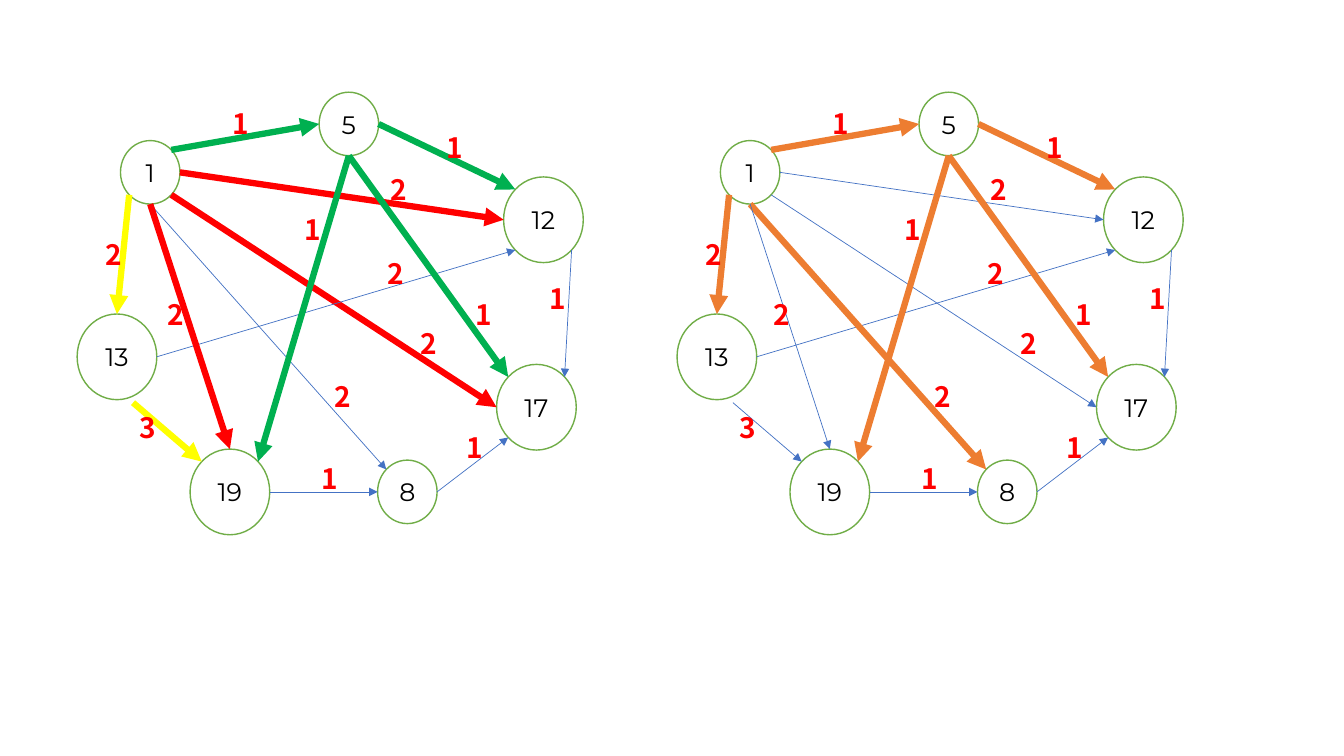
from math import cos, radians, sin

from pptx import Presentation
from pptx.dml.color import RGBColor
from pptx.enum.shapes import MSO_CONNECTOR, MSO_SHAPE
from pptx.enum.text import MSO_ANCHOR, MSO_AUTO_SIZE, PP_ALIGN
from pptx.oxml.ns import qn
from pptx.util import Inches, Pt
from lxml import etree

OVAL = MSO_SHAPE.OVAL
LINE = MSO_CONNECTOR.STRAIGHT
CENTER = PP_ALIGN.CENTER
MIDDLE = MSO_ANCHOR.MIDDLE
GROW = MSO_AUTO_SIZE.SHAPE_TO_FIT_TEXT

COLORS = {
    "white": "FFFFFF", "black": "000000", "ring": "70AD47", "thin": "4472C4",
    "red": "FF0000", "green": "00B050", "yellow": "FFFF00", "orange": "ED7D31",
}
SMALL, LARGE = (0.59, 0.63), (0.79, 0.85)
LABEL = (0.61, 0.44)
SHIFT = 5.95  # from the left graph to the right one

# node: centre and size
NODES = {
    "1": (1.49, 1.71, SMALL), "5": (3.46, 1.23, SMALL),
    "12": (5.39, 2.18, LARGE), "17": (5.32, 4.04, LARGE),
    "8": (4.04, 4.88, SMALL), "19": (2.28, 4.88, LARGE),
    "13": (1.16, 3.54, LARGE),
}
ANGLES = {"E": 0, "SE": 45, "S": 90, "SW": 135,
          "W": 180, "NW": 225, "N": 270, "NE": 315}

# start, its side, end, its side, left colour, right colour,
# weight, label centre
EDGES = [
    ("1", "SW", "13", "N", "yellow", "orange", "2", 1.13, 2.53),
    ("13", "S", "19", "NW", "yellow", "thin", "3", 1.47, 4.24),
    ("19", "E", "8", "W", "thin", "thin", "1", 3.27, 4.75),
    ("8", "E", "17", "SW", "thin", "thin", "1", 4.71, 4.44),
    ("12", "SE", "17", "NE", "thin", "thin", "1", 5.53, 2.96),
    ("5", "E", "12", "NW", "green", "orange", "1", 4.51, 1.47),
    ("1", "NE", "5", "W", "green", "orange", "1", 2.39, 1.23),
    ("1", "E", "12", "W", "red", "thin", "2", 3.96, 1.88),
    ("1", "SE", "17", "W", "red", "thin", "2", 4.25, 3.41),
    ("13", "E", "12", "SW", "thin", "thin", "2", 3.93, 2.72),
    ("1", "S", "8", "NW", "thin", "orange", "2", 3.4, 3.94),
    ("1", "S", "19", "N", "red", "thin", "2", 1.74, 3.12),
    ("5", "S", "19", "NE", "green", "orange", "1", 3.1, 2.28),
    ("5", "S", "17", "NW", "green", "orange", "1", 4.8, 3.12),
]
GAPS = {("13", "19"): (0.16, 0.03)}  # start set off from the node
NUDGE = {("1", "19"): 0.06}  # label moved on the right graph


def rim(node, side):
    """Return the point on a node's outline at a compass side."""
    x, y, (w, h) = NODES[node]
    turn = radians(ANGLES[side])
    return x + w / 2 * cos(turn), y + h / 2 * sin(turn)


def write(shape, text, font, size, color, bold=False):
    para = shape.text_frame.paragraphs[0]
    para.text = text
    para.alignment = CENTER
    para.font.name = font
    para.font.size = Pt(size)
    para.font.bold = bold
    para.font.color.rgb = RGBColor.from_string(COLORS[color])


deck = Presentation()
deck.slide_width, deck.slide_height = Inches(13.33), Inches(7.5)
slide = deck.slides.add_slide(deck.slide_layouts[6])

for side, shift in enumerate((0, SHIFT)):
    graph = slide.shapes.add_group_shape().shapes

    for name, (x, y, (w, h)) in NODES.items():
        node = graph.add_shape(OVAL, Inches(x - w / 2 + shift),
                               Inches(y - h / 2), Inches(w), Inches(h))
        node.shadow.inherit = False
        node.fill.solid()
        node.fill.fore_color.rgb = RGBColor.from_string(COLORS["white"])
        node.line.color.rgb = RGBColor.from_string(COLORS["ring"])
        node.line.width = Pt(1)
        frame = node.text_frame
        frame.vertical_anchor = MIDDLE
        frame.margin_left = frame.margin_right = 0
        write(node, name, "Montserrat", 18, "black")

    for start, leave, end, enter, *hues, weight, x, y in EDGES:
        x1, y1 = rim(start, leave)
        x2, y2 = rim(end, enter)
        dx, dy = GAPS.get((start, end), (0, 0))
        hue = hues[side]
        edge = graph.add_connector(LINE, Inches(x1 + dx + shift), Inches(y1 + dy),
                                   Inches(x2 + shift), Inches(y2))
        edge.line.color.rgb = RGBColor.from_string(COLORS[hue])
        edge.line.width = Pt(0.5 if hue == "thin" else 4.5)
        etree.SubElement(edge.line._get_or_add_ln(), qn("a:tailEnd"), type="triangle")
        etree.SubElement(edge._element.spPr, qn("a:effectLst"))

    for start, leave, end, enter, *hues, weight, x, y in EDGES:
        w, h = LABEL
        left = x - w / 2 + shift + side * NUDGE.get((start, end), 0)
        label = graph.add_textbox(Inches(left), Inches(y - h / 2), Inches(w), Inches(h))
        label.text_frame.word_wrap = True
        label.text_frame.auto_size = GROW
        write(label, weight, "Noto Sans CJK JP", 20, "red", True)

deck.save("out.pptx")
